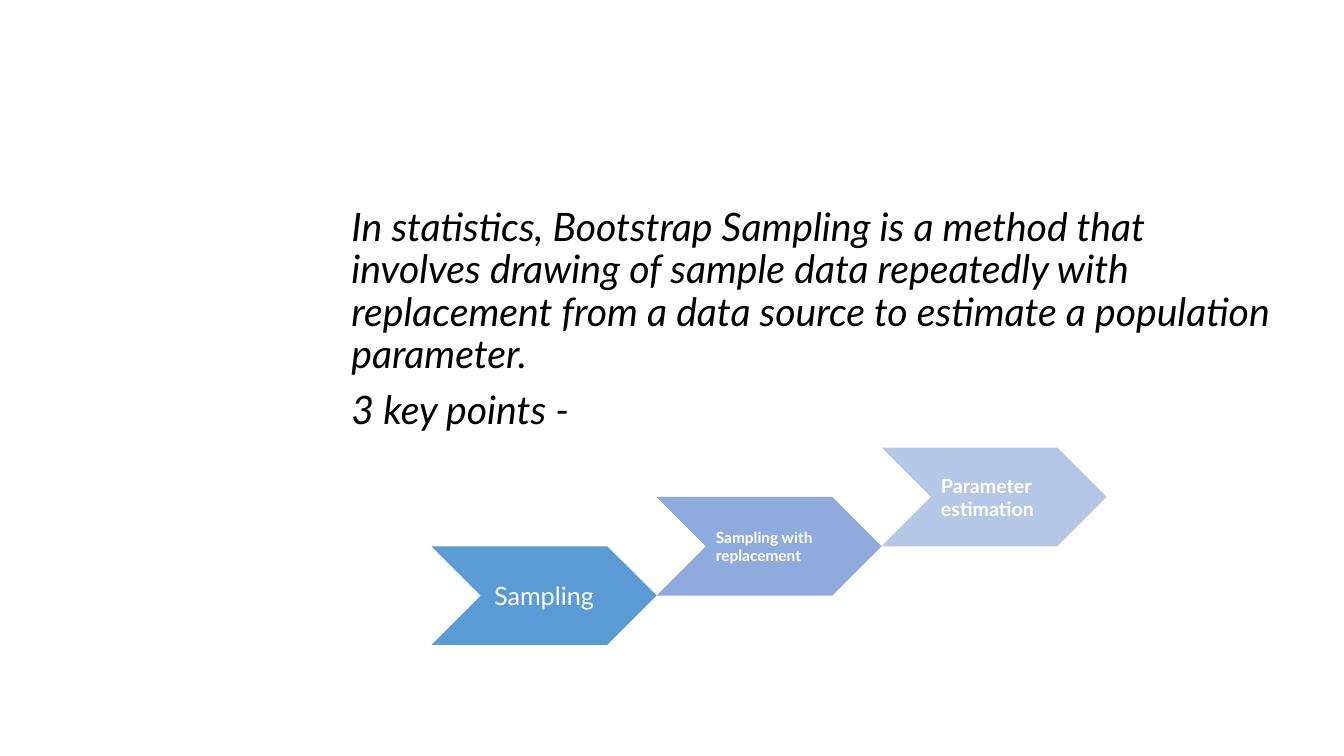
from dataclasses import dataclass

from pptx import Presentation
from pptx.dml.color import RGBColor
from pptx.enum.shapes import MSO_SHAPE
from pptx.enum.text import MSO_ANCHOR, PP_ALIGN
from pptx.slide import Slide
from pptx.text.text import TextFrame
from pptx.util import Pt

FONT = "Lato"
BLACK = RGBColor(0x00, 0x00, 0x00)
WHITE = RGBColor(0xFF, 0xFF, 0xFF)
BLUE = RGBColor(0x5B, 0x9B, 0xD5)
MID_BLUE = RGBColor(0x8F, 0xAA, 0xDC)
PALE_BLUE = RGBColor(0xB4, 0xC7, 0xE7)

# The staircase: each step starts at the tip of the one before
STEP_LEFT, STEP_TOP = 308.2, 390.2
STEP_WIDTH, STEP_HEIGHT = 160.8, 70.5
STEP_RISE = STEP_HEIGHT / 2


@dataclass(frozen=True)
class Step:
    label: str
    fill: RGBColor
    size: float
    bold: bool = True
    align: PP_ALIGN = PP_ALIGN.LEFT


DEFINITION = [
    "In statistics, Bootstrap Sampling is a method that involves drawing of "
    "sample data repeatedly with replacement from a data source to estimate "
    "a population parameter.",
    "3 key points -",
]
STEPS = [
    Step("Sampling", BLUE, 18, bold=False, align=PP_ALIGN.CENTER),
    Step("Sampling with replacement", MID_BLUE, 11),
    Step("Parameter estimation", PALE_BLUE, 14),
]


def write_text(frame: TextFrame, paragraphs: list[str], *, size: float,
               color: RGBColor, bold: bool = False, italic: bool = False,
               align: PP_ALIGN = PP_ALIGN.LEFT, line_spacing: float = 1.0,
               space_before: float = 0,
               anchor: MSO_ANCHOR = MSO_ANCHOR.TOP) -> None:
    frame.word_wrap = True
    frame.vertical_anchor = anchor
    for index, text in enumerate(paragraphs):
        paragraph = frame.add_paragraph() if index else frame.paragraphs[0]
        paragraph.alignment = align
        paragraph.line_spacing = line_spacing
        paragraph.space_before = Pt(space_before)
        run = paragraph.add_run()
        run.text = text
        run.font.name = FONT
        run.font.size = Pt(size)
        run.font.bold = bold
        run.font.italic = italic
        run.font.color.rgb = color


def draw_step(slide: Slide, step: Step, index: int) -> None:
    chevron = slide.shapes.add_shape(
        MSO_SHAPE.CHEVRON,
        Pt(STEP_LEFT + index * STEP_WIDTH), Pt(STEP_TOP - index * STEP_RISE),
        Pt(STEP_WIDTH), Pt(STEP_HEIGHT))
    chevron.shadow.inherit = False
    chevron.fill.solid()
    chevron.fill.fore_color.rgb = step.fill
    chevron.line.fill.background()
    write_text(chevron.text_frame, [step.label], size=step.size, color=WHITE,
               bold=step.bold, align=step.align, anchor=MSO_ANCHOR.MIDDLE)


def main() -> None:
    presentation = Presentation()
    presentation.slide_width, presentation.slide_height = Pt(960), Pt(540)
    blank_layout = presentation.slide_layouts[6]
    slide = presentation.slides.add_slide(blank_layout)

    # Definition
    definition = slide.shapes.add_textbox(Pt(244), Pt(144.7), Pt(679), Pt(345.6))
    write_text(definition.text_frame, DEFINITION, size=28, color=BLACK,
               italic=True, line_spacing=0.9, space_before=10)

    # Three key points
    for index, step in enumerate(STEPS):
        draw_step(slide, step, index)

    presentation.save("out.pptx")


if __name__ == "__main__":
    main()
